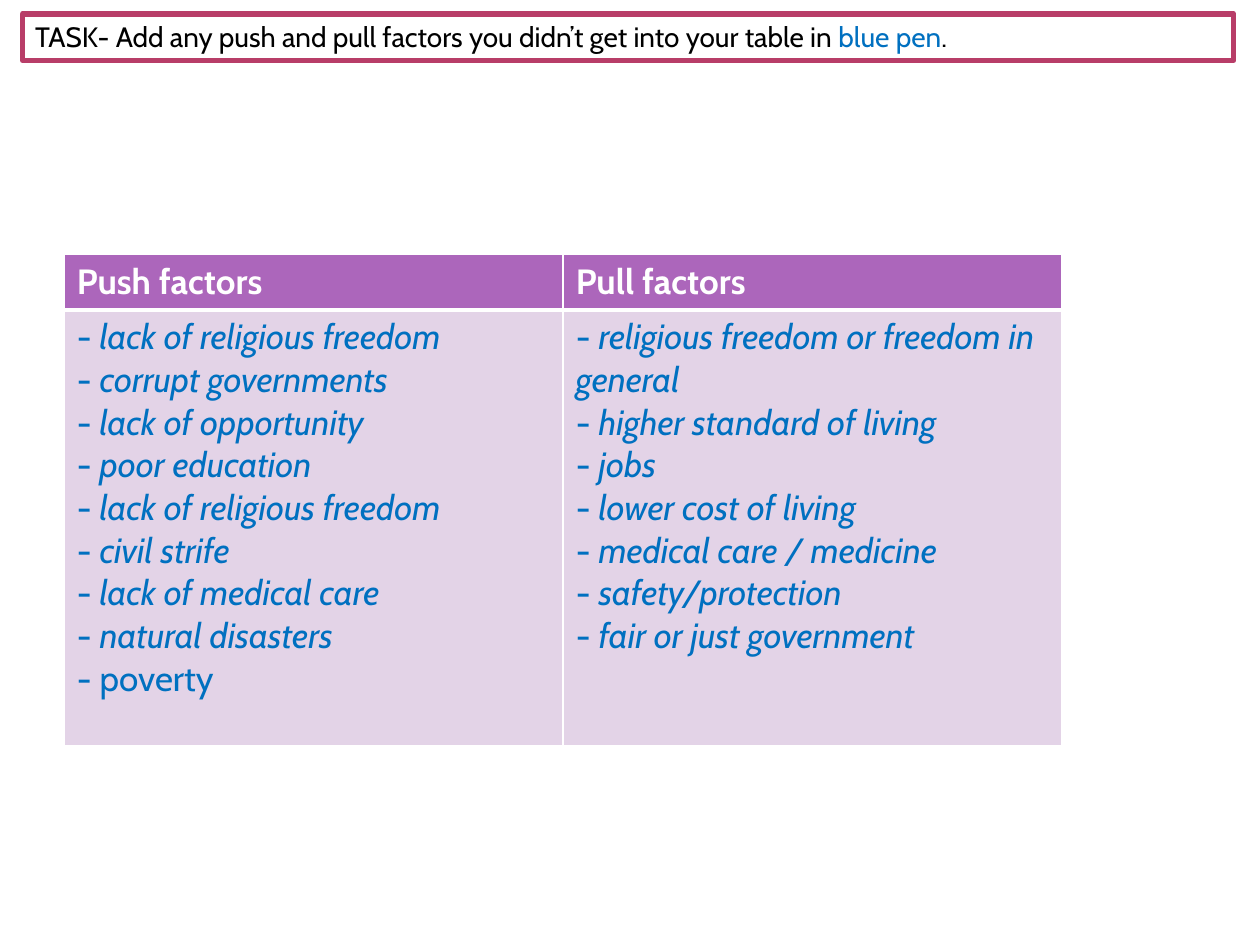
from lxml import etree
from pptx import Presentation
from pptx import util as u
from pptx.dml.color import RGBColor
from pptx.enum import shapes, text
from pptx.oxml.ns import qn

# Content: runs are (words, colour name)
TASK = [
    ("TASK- Add any push and pull factors you didn’t get into your table in ", "ink"),
    ("blue pen", "blue"),
    (".", "ink"),
]
# Each factor is (words, italic)
FACTORS = {
    "Push factors": [
        ("lack of religious freedom", True),
        ("corrupt governments", True),
        ("lack of opportunity", True),
        ("poor education", True),
        ("lack of religious freedom", True),
        ("civil strife", True),
        ("lack of medical care", True),
        ("natural disasters", True),
        ("poverty", False),
    ],
    "Pull factors": [
        ("religious freedom or freedom in general", True),
        ("higher standard of living", True),
        ("jobs", True),
        ("lower cost of living", True),
        ("medical care / medicine", True),
        ("safety/protection", True),
        ("fair or just government", True),
    ],
}


class Theme:
    font = "Cabin"
    task = 16
    cell = 20
    color = dict(ink="000000", blue="0070C0", white="FFFFFF",
                 frame="B83D68", head="AC66BB", body="E3D3E7")


def rgb(name):
    return RGBColor.from_string(Theme.color[name])


def add_run(para, words, size, color, bold=False, italic=False):
    run = para.add_run()
    run.text = words
    font = run.font
    font.name, font.size = Theme.font, u.Pt(size)
    font.bold, font.italic = bold, italic
    font.color.rgb = rgb(color)


def style_cell(cell, fill, top, base):
    """Draw white borders (widths in points), then fill the cell."""
    props = cell._tc.get_or_add_tcPr()
    for side, width in zip("LRTB", (1, 1, top, base)):
        line = etree.SubElement(props, qn(f"a:ln{side}"), w=str(u.Pt(width)))
        solid = etree.SubElement(line, qn("a:solidFill"))
        etree.SubElement(solid, qn("a:srgbClr"), val=Theme.color["white"])
    cell.fill.solid()
    cell.fill.fore_color.rgb = rgb(fill)


def add_factors(slide):
    wide, heights = 3.96, (0.41, 3.46)
    table = slide.shapes.add_table(
        2, len(FACTORS), u.Inches(0.51), u.Inches(2.02),
        u.Inches(wide * len(FACTORS)), u.Inches(sum(heights))).table
    for row, height in zip(table.rows, heights):
        row.height = u.Inches(height)
    for col, (title, items) in enumerate(FACTORS.items()):
        table.columns[col].width = u.Inches(wide)
        head, body = table.cell(0, col), table.cell(1, col)
        style_cell(head, "head", 1, 3)
        style_cell(body, "body", 3, 1)
        add_run(head.text_frame.paragraphs[0], title, Theme.cell, "white", bold=True)
        frame = body.text_frame
        for i, (words, slant) in enumerate(items):
            para = frame.add_paragraph() if i else frame.paragraphs[0]
            add_run(para, "- ", Theme.cell, "blue")
            add_run(para, words, Theme.cell, "blue", italic=slant)


def add_task(slide):
    box = slide.shapes.add_shape(
        shapes.MSO_SHAPE.RECTANGLE, u.Inches(0.18), u.Inches(0.11),
        u.Inches(9.61), u.Inches(0.37))
    box.shadow.inherit = False
    box.fill.solid()
    box.fill.fore_color.rgb = rgb("white")
    box.line.color.rgb = rgb("frame")
    box.line.width = u.Pt(3.15)
    frame = box.text_frame
    frame.word_wrap = True
    frame.auto_size = text.MSO_AUTO_SIZE.SHAPE_TO_FIT_TEXT
    frame.vertical_anchor = text.MSO_ANCHOR.TOP
    para = frame.paragraphs[0]
    para.alignment = text.PP_ALIGN.LEFT
    for words, color in TASK:
        add_run(para, words, Theme.task, color)


def main():
    deck = Presentation()
    deck.slide_width, deck.slide_height = u.Inches(10), u.Inches(7.5)
    slide = deck.slides.add_slide(deck.slide_layouts[6])
    add_factors(slide)
    add_task(slide)
    deck.save("out.pptx")


if __name__ == "__main__":
    main()
